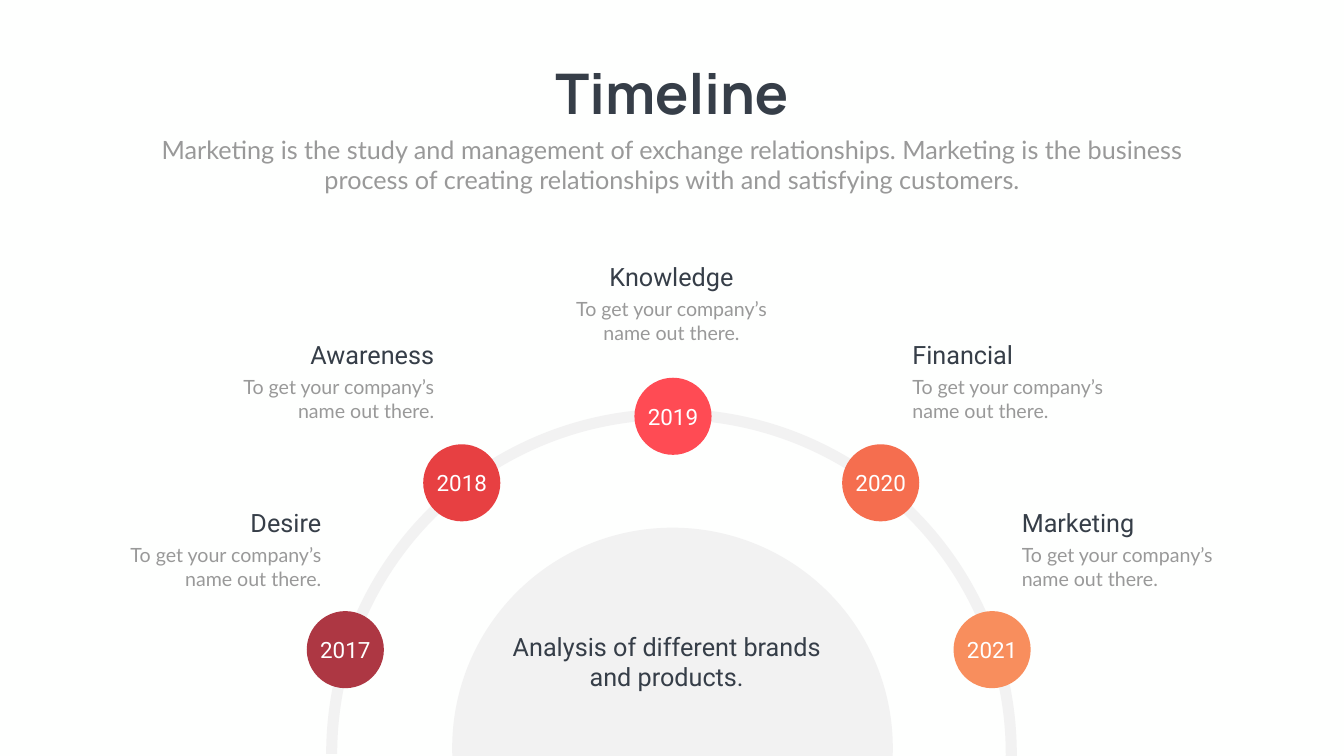
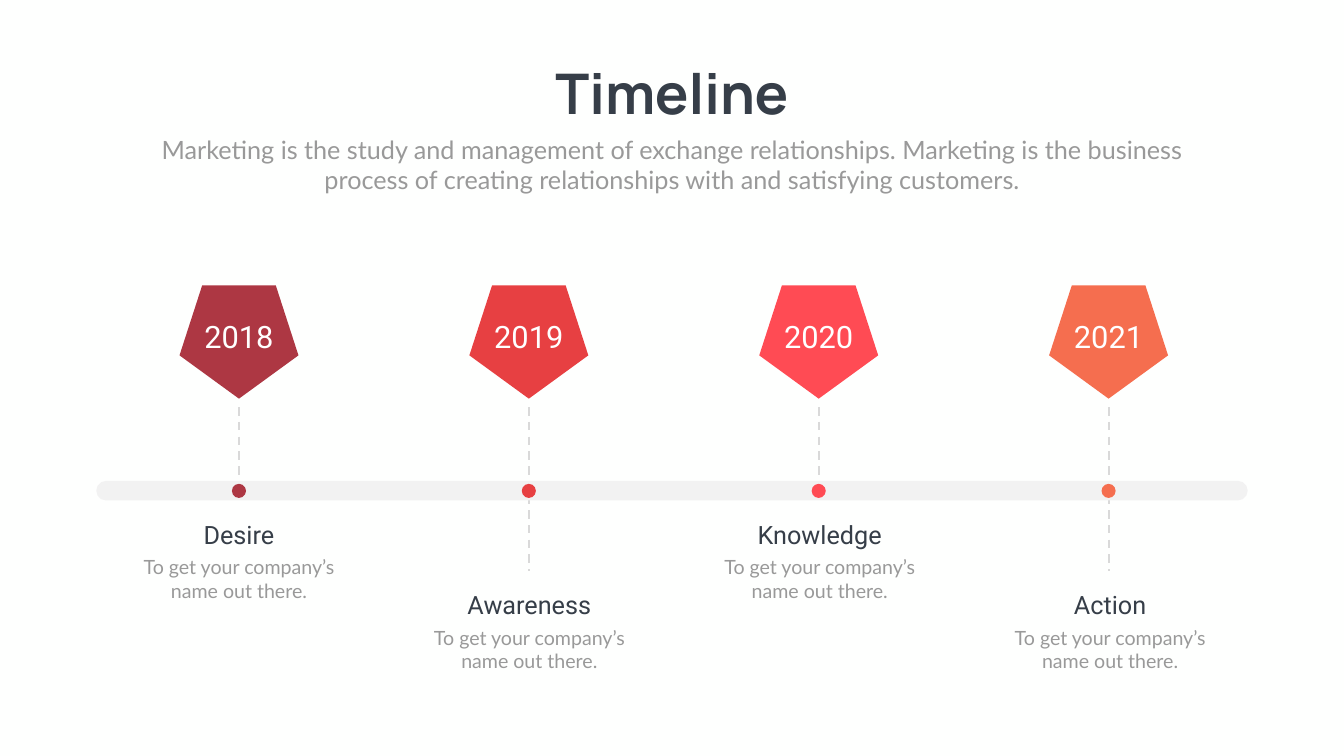
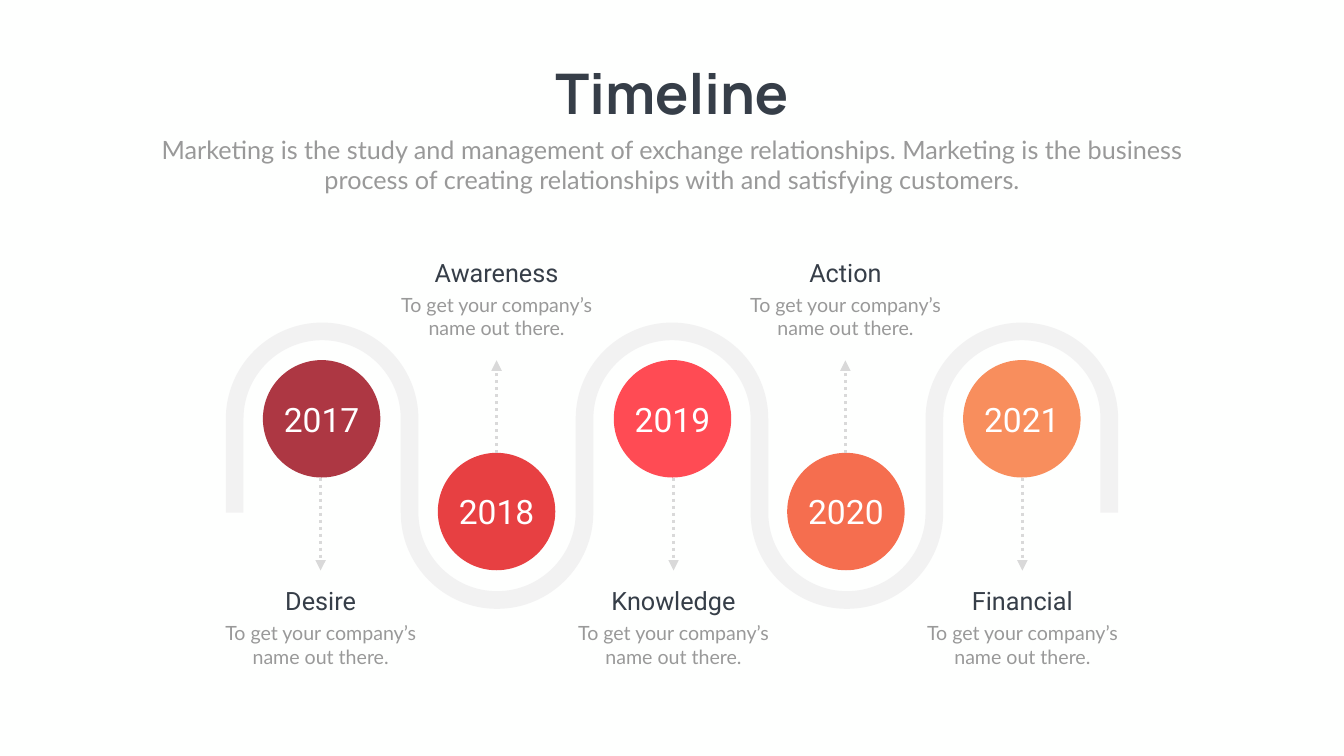
import pptx
import pptx.dml.color
import pptx.enum.dml
import pptx.enum.shapes
import pptx.enum.text
import pptx.oxml.ns
import pptx.util
from lxml import etree

Inches = pptx.util.Inches
Pt = pptx.util.Pt
qn = pptx.oxml.ns.qn
SHAPE = pptx.enum.shapes.MSO_SHAPE
ALIGN = pptx.enum.text.PP_ALIGN
DASH = pptx.enum.dml.MSO_LINE

COLORS = {
    "background": "FEFFFE",
    "ink": "363E48",
    "muted": "999999",
    "band": "F2F2F2",
    "line": "D9D9D9",
    "white": "FFFFFF",
}
RAMP = ["AD3743", "E74042", "FF4B54", "F56E4F", "F88E5D"]

ROUNDNESS = 0.55  # Bezier handle length of a quarter circle
NOTE = "To get your company’s name out there."
INTRO = (
    "Marketing is the study and management of exchange relationships. "
    "Marketing is the business process of creating relationships with "
    "and satisfying customers."
)


# Basic elements

def rgb(color):
    return pptx.dml.color.RGBColor.from_string(color)


def box(left, top, width, height):
    return [Inches(value) for value in (left, top, width, height)]


def write(frame, words, size, font, color, align=ALIGN.CENTER, bold=False):
    paragraph = frame.paragraphs[0]
    paragraph.alignment = align
    run = paragraph.add_run()
    run.text = words
    run.font.size = Pt(size)
    run.font.name = font
    run.font.bold = bold
    run.font.color.rgb = rgb(color)


def add_text(slide, place, words, size, font, color, align=ALIGN.CENTER,
             bold=False, wrap=True):
    frame = slide.shapes.add_textbox(*box(*place)).text_frame
    frame.word_wrap = wrap
    frame.auto_size = pptx.enum.text.MSO_AUTO_SIZE.SHAPE_TO_FIT_TEXT
    write(frame, words, size, font, color, align, bold)


def paint(shape, color):
    shape.shadow.inherit = False
    shape.fill.solid()
    shape.fill.fore_color.rgb = rgb(color)
    shape.line.fill.background()


def add_filled(slide, kind, place, color, adjustments=()):
    shape = slide.shapes.add_shape(kind, *box(*place))
    paint(shape, color)
    for index, value in enumerate(adjustments):
        shape.adjustments[index] = value
    return shape


def add_circle(slide, x, y, diameter, color):
    place = (x - diameter / 2, y - diameter / 2, diameter, diameter)
    return add_filled(slide, SHAPE.OVAL, place, color)


def add_vertical(slide, x, start, end, weight, dash, arrow=False):
    stem = slide.shapes.add_connector(
        pptx.enum.shapes.MSO_CONNECTOR.STRAIGHT,
        Inches(x), Inches(start), Inches(x), Inches(end))
    stem.line.color.rgb = rgb(COLORS["line"])
    stem.line.width = Pt(weight)
    stem.line.dash_style = dash
    if arrow:
        outline = stem.line._get_or_add_ln()
        etree.SubElement(outline, qn("a:tailEnd"), type="triangle")
    etree.SubElement(stem._element.spPr, qn("a:effectLst"))


# Shared parts of the timelines

def add_timeline_slide(deck):
    slide = deck.slides.add_slide(deck.slide_layouts[6])
    add_text(slide, (10.74, 1.12, 5.18, 1.45), "Timeline", 80, "Manrope",
             COLORS["ink"], bold=True, wrap=False)
    add_text(slide, (2.92, 2.61, 20.82, 1.31), INTRO, 36, "Lato",
             COLORS["muted"])
    return slide


def add_label(slide, heading, x, top, align=ALIGN.CENTER):
    """Heading and note, lined up on x by their left, centre or right."""
    share = {ALIGN.LEFT: 0, ALIGN.CENTER: 0.5, ALIGN.RIGHT: 1}[align]
    add_text(slide, (x - 4.59 * share, top + 0.71, 4.59, 1.04), NOTE, 28,
             "Lato", COLORS["muted"], align)
    add_text(slide, (x - 4 * share, top, 4, 0.71), heading, 36, "Roboto",
             COLORS["ink"], align)


def add_year(slide, year, x, top, width, height, size):
    add_text(slide, (x - width / 2, top, width, height), year, size,
             "Roboto", COLORS["white"])


def round_corners(outline):
    """Turn the slanted segments, two to an arch, into quarter circles."""
    path = outline._element.find(".//" + qn("a:path"))
    x, y = 0, 0
    upright = True
    for segment in list(path):
        point = segment.find(qn("a:pt"))
        if point is None:
            continue
        end_x, end_y = int(point.get("x")), int(point.get("y"))
        dx, dy = end_x - x, end_y - y
        slanted = min(abs(dx), abs(dy)) > Inches(0.1)
        if segment.tag == qn("a:lnTo") and slanted:
            reach, rest = ROUNDNESS, 1 - ROUNDNESS
            if upright:
                handles = [(x, y + reach * dy), (x + rest * dx, end_y)]
            else:
                handles = [(x + reach * dx, y), (end_x, y + rest * dy)]
            curve = etree.Element(qn("a:cubicBezTo"))
            for handle_x, handle_y in handles + [(end_x, end_y)]:
                etree.SubElement(curve, qn("a:pt"), x=str(round(handle_x)),
                                 y=str(round(handle_y)))
            path.replace(segment, curve)
            upright = not upright
        x, y = end_x, end_y


def add_wave(slide, first_x, pitch, upper_y, lower_y, thickness, arches):
    """Band of alternating half circles joined by straight sides."""
    def edge(offset):
        points = [(first_x - pitch / 2 - offset, lower_y)]
        for arch in range(arches):
            side = 1 if arch % 2 == 0 else -1
            base = upper_y if side > 0 else lower_y
            x = first_x + arch * pitch
            radius = pitch / 2 + side * offset
            points += [(x - radius, base), (x, base - side * radius),
                       (x + radius, base)]
        return points + [(points[-1][0], lower_y)]

    knots = edge(thickness / 2) + edge(-thickness / 2)[::-1]
    start, *rest = [(Inches(x), Inches(y)) for x, y in knots]
    builder = slide.shapes.build_freeform(*start)
    builder.add_line_segments(rest, close=True)
    wave = builder.convert_to_shape()
    round_corners(wave)
    paint(wave, COLORS["band"])


# Slides

def build_arc_timeline(deck):
    slide = add_timeline_slide(deck)
    add_filled(slide, SHAPE.BLOCK_ARC, (6.47, 8.11, 13.7, 13.7),
               COLORS["band"], (108, 0.335, 0.016))
    # year, circle centre, heading, heading x and top, alignment
    milestones = [
        ("2017", 6.85, 12.89, "Desire", 6.47, 10.02, ALIGN.RIGHT),
        ("2018", 9.16, 9.58, "Awareness", 8.71, 6.68, ALIGN.RIGHT),
        ("2019", 13.35, 8.26, "Knowledge", 13.32, 5.14, ALIGN.CENTER),
        ("2020", 17.47, 9.58, "Financial", 18, 6.68, ALIGN.LEFT),
        ("2021", 19.68, 12.89, "Marketing", 20.17, 10.02, ALIGN.LEFT),
    ]
    for color, milestone in zip(RAMP, milestones):
        year, x, y, heading, label_x, label_top, align = milestone
        add_circle(slide, x, y, 1.53, color)
        add_year(slide, year, x, y - 0.32, 1.85, 0.64, 32)
        add_label(slide, heading, label_x, label_top, align)
    # Central dome
    add_filled(slide, SHAPE.CHORD, (8.97, 10.47, 8.74, 8.74),
               COLORS["band"], (106.67, 1.46))
    add_text(slide, (10.06, 12.48, 6.33, 1.31),
             "Analysis of different brands and products.", 36, "Roboto",
             COLORS["ink"])


def build_bar_timeline(deck):
    slide = add_timeline_slide(deck)
    headings = ["Desire", "Awareness", "Knowledge", "Action"]
    columns = [4.74 + 5.75 * index for index in range(len(headings))]
    # Stems go behind the bar, the longer ones down to the lower labels
    for index, x in enumerate(columns):
        add_vertical(slide, x, 8.08, 11.32 if index % 2 else 9.74, 3,
                     DASH.DASH)
    add_filled(slide, SHAPE.ROUNDED_RECTANGLE, (1.91, 9.54, 22.84, 0.39),
               COLORS["band"], (0.5,))
    for index, (x, heading) in enumerate(zip(columns, headings)):
        pentagon = add_filled(slide, SHAPE.REGULAR_PENTAGON,
                              (x - 1.18, 5.66, 2.36, 2.25), RAMP[index])
        pentagon.rotation = 180
        add_circle(slide, x, 9.74, 0.28, RAMP[index])
        add_year(slide, str(2018 + index), x, 6.26, 2.36, 0.84, 44)
        add_label(slide, heading, 4.74 + 5.76 * index,
                  11.65 if index % 2 else 10.26)


def build_wave_timeline(deck):
    slide = add_timeline_slide(deck)
    upper_y, lower_y = 8.31, 10.15
    # heading, circle centre, label centre
    stages = [
        ("Desire", 6.38, 6.36),
        ("Awareness", 9.85, 9.85),
        ("Knowledge", 13.34, 13.36),
        ("Action", 16.78, 16.77),
        ("Financial", 20.27, 20.28),
    ]
    for index, (heading, x, label_x) in enumerate(stages):
        low = index % 2 == 1
        circle = add_circle(slide, x, lower_y if low else upper_y, 2.33,
                            RAMP[index])
        frame = circle.text_frame
        frame.word_wrap = False
        frame.vertical_anchor = pptx.enum.text.MSO_ANCHOR.MIDDLE
        write(frame, str(2017 + index), 48, "Roboto", COLORS["white"])
        # Arrows run from each circle to its label
        start, end = (8.99, 7.15) if low else (9.48, 11.32)
        add_vertical(slide, label_x, start, end, 5, DASH.ROUND_DOT,
                     arrow=True)
        add_label(slide, heading, label_x, 5.05 if low else 11.57)
    add_wave(slide, 6.39, 3.47, upper_y, 10.17, 0.35, len(stages))


def main():
    deck = pptx.Presentation()
    deck.slide_width = Inches(26.66)
    deck.slide_height = Inches(15)
    backdrop = deck.slide_master.background.fill
    backdrop.solid()
    backdrop.fore_color.rgb = rgb(COLORS["background"])
    build_arc_timeline(deck)
    build_bar_timeline(deck)
    build_wave_timeline(deck)
    deck.save("out.pptx")


if __name__ == "__main__":
    main()
